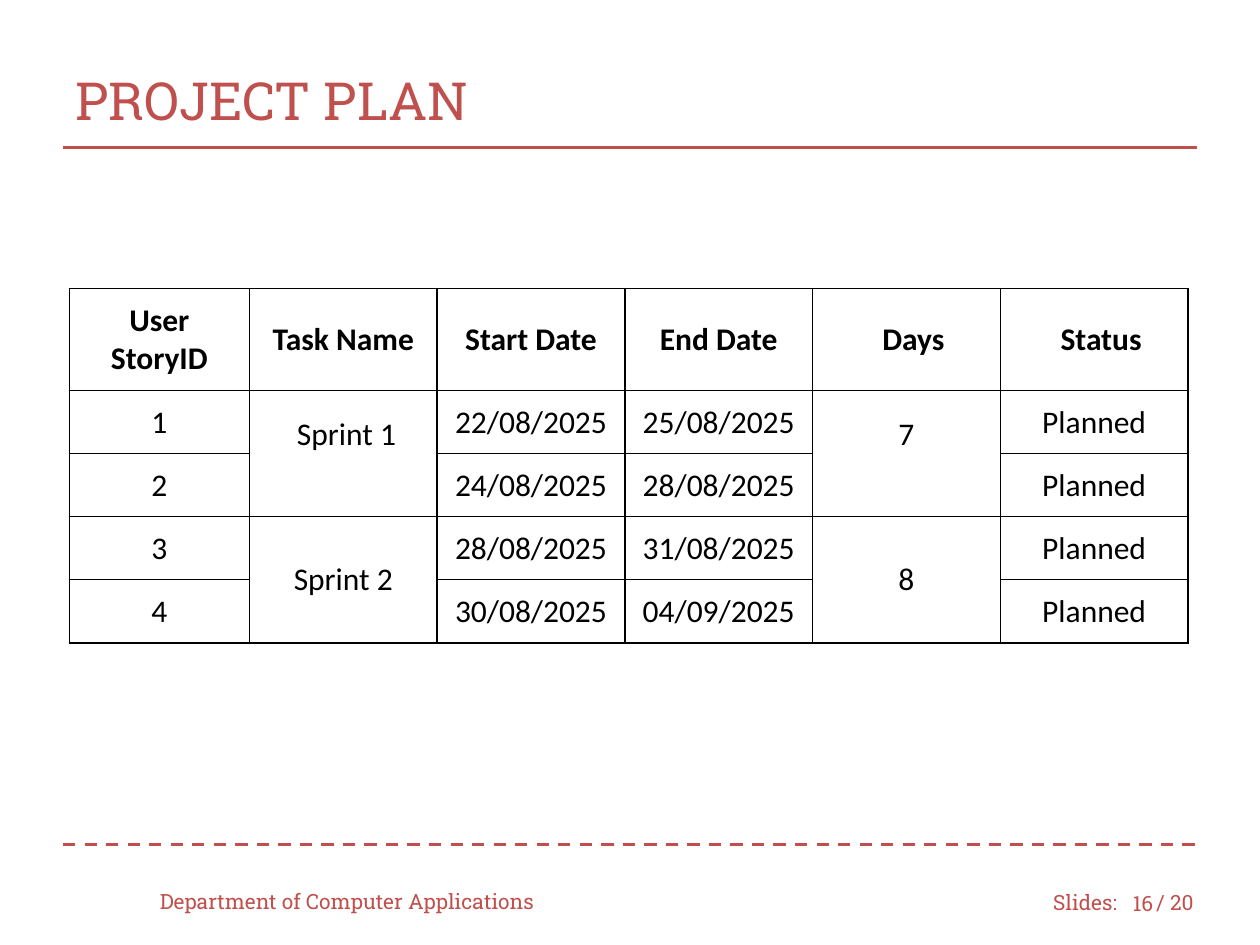
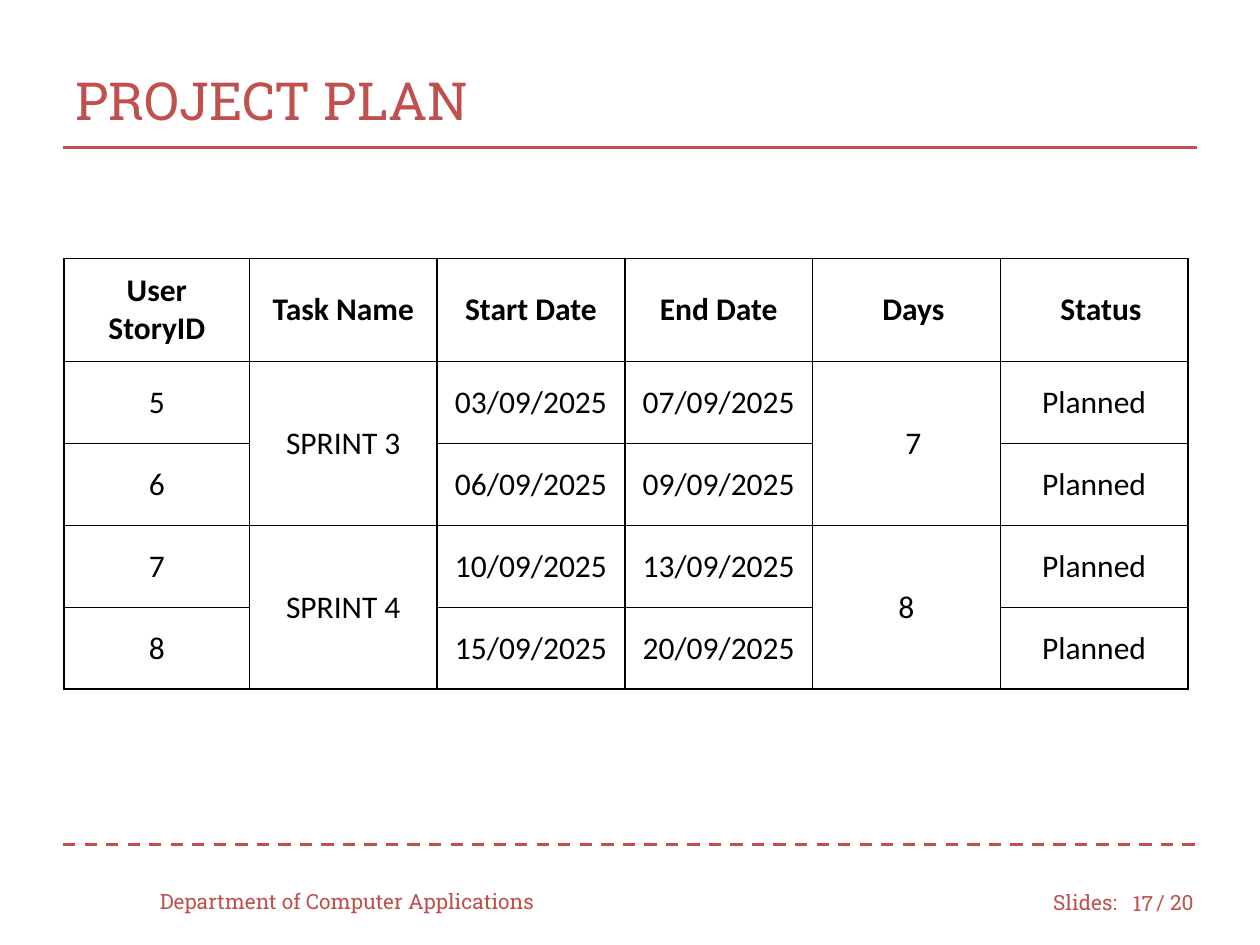
import pptx
import pptx.dml.color
import pptx.enum.dml
import pptx.enum.shapes
import pptx.enum.text
import pptx.oxml
import pptx.oxml.ns
import pptx.util

Inches = pptx.util.Inches
Pt = pptx.util.Pt
RGBColor = pptx.dml.color.RGBColor
Align = pptx.enum.text.PP_ALIGN
Middle = pptx.enum.text.MSO_ANCHOR.MIDDLE

RED = RGBColor(0xC0, 0x50, 0x4D)
BLACK = RGBColor(0, 0, 0)
WHITE = RGBColor(0xFF, 0xFF, 0xFF)
SLAB = "Roboto Slab"
SANS = "Calibri"

HEADS = ("User\nStoryID", "Task Name", "Start Date", "End Date", "Days", "Status")
TASK, DAYS, STATUS = 1, 4, 5
PAD = 0.1
LIFT = 0.3   # one line of text, added below to raise it
SHIFT = 0.11

# Extra left and bottom insets by (row, column)
HEAD_PADS = {(0, DAYS): (SHIFT, 0), (0, STATUS): (SHIFT, 0)}

PLANS = [
    dict(page=16, first=1, spot=(0.55, 2.29), lead=1.43, heights=(0.81, 0.5),
         pads={(1, TASK): (0.05, LIFT), (1, DAYS): (0, LIFT)},
         sprints=[
             ("Sprint 1", "7", [("22/08/2025", "25/08/2025"),
                                ("24/08/2025", "28/08/2025")]),
             ("Sprint 2", "8", [("28/08/2025", "31/08/2025"),
                                ("30/08/2025", "04/09/2025")])]),
    dict(page=17, first=5, spot=(0.51, 2.05), lead=1.47, heights=(0.82, 0.65),
         pads={(1, DAYS): (SHIFT, 0)},
         sprints=[
             ("SPRINT 3", "7", [("03/09/2025", "07/09/2025"),
                                ("06/09/2025", "09/09/2025")]),
             ("SPRINT 4", "8", [("10/09/2025", "13/09/2025"),
                                ("15/09/2025", "20/09/2025")])]),
]


class Deck:
    def __init__(self):
        self.prs = pptx.Presentation()
        self.prs.slide_width = Inches(10)
        self.prs.slide_height = Inches(7.5)
        self.slide = None

    def text(self, frame, words, size, font, color, align=Align.LEFT, bold=False):
        """Fill a text frame, one paragraph for each line of words."""
        frame.word_wrap = True
        for i, line in enumerate(words.split("\n")):
            para = frame.add_paragraph() if i else frame.paragraphs[0]
            para.alignment = align
            run = para.add_run()
            run.text = line
            run.font.size = Pt(size)
            run.font.name = font
            run.font.bold = bold
            run.font.color.rgb = color

    def title(self, words):
        shape = self.slide.shapes.title
        shape.left, shape.top = Inches(0.5), Inches(0.33)
        shape.width, shape.height = Inches(9), Inches(0.92)
        frame = shape.text_frame
        frame.auto_size = pptx.enum.text.MSO_AUTO_SIZE.NONE
        frame.vertical_anchor = Middle
        self.text(frame, words, 30, SLAB, RED)

    def label(self, words, left, top, width, align=Align.LEFT):
        box = self.slide.shapes.add_textbox(
            Inches(left), Inches(top), Inches(width), Inches(0.4))
        box.text_frame.vertical_anchor = Middle
        self.text(box.text_frame, words, 12, SLAB, RED, align)

    def rule(self, top, dash=None):
        line = self.slide.shapes.add_connector(
            pptx.enum.shapes.MSO_CONNECTOR.STRAIGHT,
            Inches(0.5), Inches(top), Inches(9.5), Inches(top))
        line.line.color.rgb = RED
        line.line.width = Pt(1.75)
        if dash:
            line.line.dash_style = dash
        props = line._element.spPr
        props.append(props.makeelement(pptx.oxml.ns.qn("a:effectLst"), {}))

    def page(self, title, number):
        """Start a slide with its title, rules and footer."""
        self.slide = self.prs.slides.add_slide(self.prs.slide_layouts[5])
        self.title(title)
        self.rule(1.17)
        self.rule(6.7, pptx.enum.dml.MSO_LINE.DASH)
        self.label("Department of Computer Applications", 1.17, 6.95, 3.33)
        self.label("Slides:", 8.26, 6.96, 0.75)
        self.label(str(number), 8.83, 6.97, 0.42, Align.RIGHT)
        self.label("/ 20", 9.08, 6.96, 0.58)

    def border(self, cell):
        props = cell._tc.get_or_add_tcPr()
        for side in ("lnL", "lnR", "lnT", "lnB"):
            props.append(pptx.oxml.parse_xml(
                f'<a:{side} {pptx.oxml.ns.nsdecls("a")} w="{Pt(1)}">'
                f'<a:solidFill><a:srgbClr val="{BLACK}"/></a:solidFill></a:{side}>'))

    def cell(self, cell, words, bold, pads):
        self.border(cell)
        cell.fill.solid()
        cell.fill.fore_color.rgb = WHITE
        cell.vertical_anchor = Middle
        left, bottom = pads
        cell.margin_left = Inches(PAD + left)
        cell.margin_bottom = Inches(PAD + bottom)
        cell.margin_right = cell.margin_top = Inches(PAD)
        if words:
            self.text(cell.text_frame, words, 18, SANS, BLACK, Align.CENTER, bold)

    def table(self, rows, spot, widths, heights, pads, spans):
        """Draw rows; spans lists (row, column, count) of cells merged downwards."""
        left, top = spot
        grid = self.slide.shapes.add_table(
            len(rows), len(widths), Inches(left), Inches(top),
            Inches(sum(widths)), Inches(sum(heights))).table
        grid.first_row = grid.horz_banding = False
        for col, width in zip(grid.columns, widths):
            col.width = Inches(width)
        for row, height in zip(grid.rows, heights):
            row.height = Inches(height)
        for r, row in enumerate(rows):
            for c, words in enumerate(row):
                self.cell(grid.cell(r, c), words, r == 0, pads.get((r, c), (0, 0)))
        for r, c, count in spans:
            grid.cell(r, c).merge(grid.cell(r + count - 1, c))

    def plan(self, page, first, spot, lead, heights, pads, sprints):
        self.page("PROJECT PLAN", page)
        rows, spans = [HEADS], []
        for name, days, dates in sprints:
            spans += [(len(rows), c, len(dates)) for c in (TASK, DAYS)]
            for i, (start, end) in enumerate(dates):
                story = str(first + len(rows) - 1)
                rows.append((story, "" if i else name, start, end,
                             "" if i else days, "Planned"))
        head, body = heights
        self.table(rows, spot, [lead] + [1.49] * (len(HEADS) - 1),
                   [head] + [body] * (len(rows) - 1), HEAD_PADS | pads, spans)


def main():
    deck = Deck()
    for plan in PLANS:
        deck.plan(**plan)
    deck.prs.save("out.pptx")


if __name__ == "__main__":
    main()
